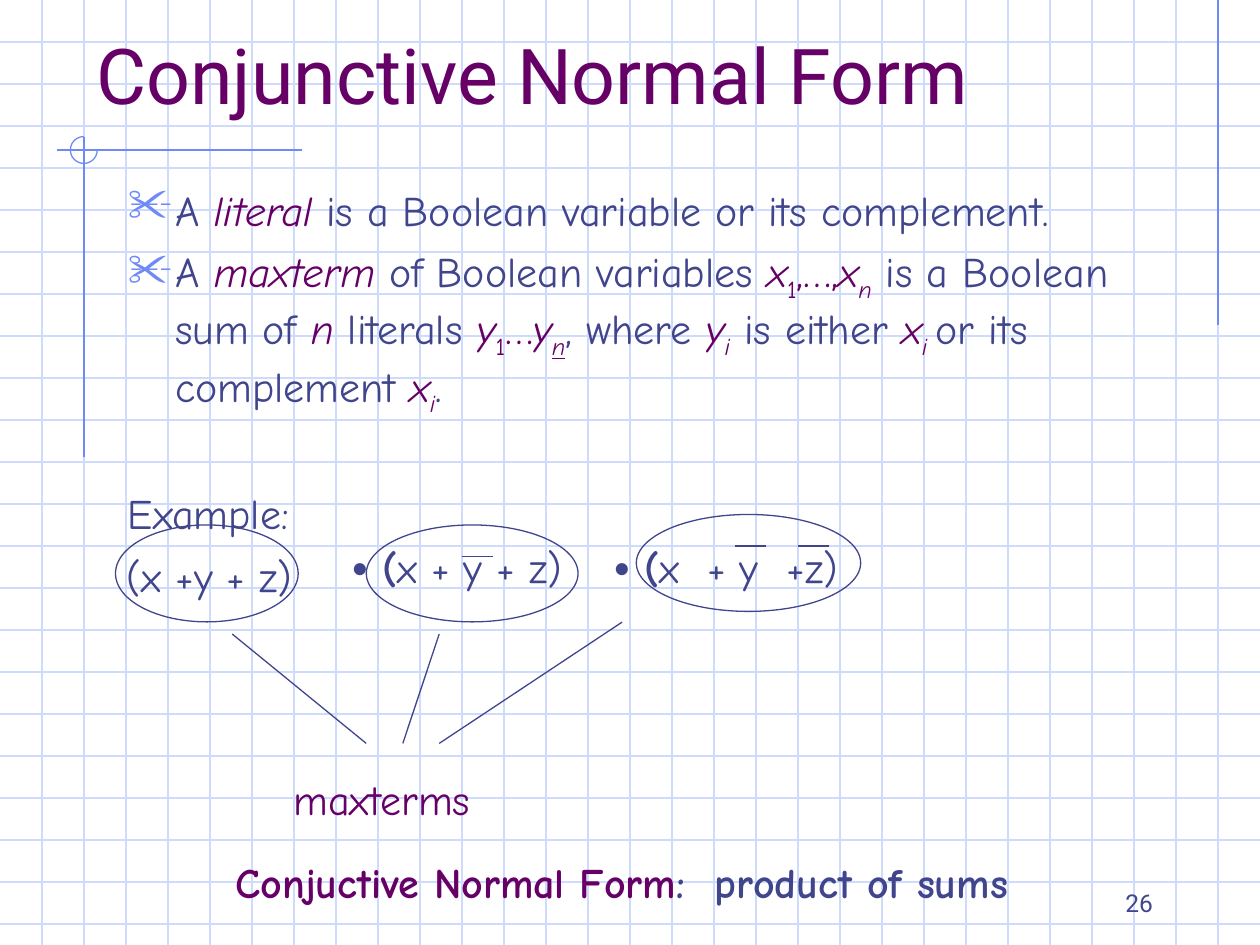
from lxml.etree import SubElement
from pptx import Presentation
from pptx.dml.color import RGBColor
from pptx.enum.shapes import MSO_CONNECTOR, MSO_SHAPE
from pptx.enum.text import MSO_ANCHOR, PP_ALIGN
from pptx.oxml.ns import qn
from pptx.util import Pt

WIDTH, HEIGHT, GRID_STEP = 720, 540, 24
GRID_BLUE, ACCENT_BLUE = "CFDBFD", "6F89F7"
INK, PURPLE = "40458C", "660066"
TITLE_FONT, BODY_FONT, DOT_FONT = "Roboto", "Comic Neue", "Arial"


def color(hex_string):
    return RGBColor.from_string(hex_string)


class SlideBuilder:
    def __init__(self, slide):
        self.slide = slide
        self.line_width = 0.75
        self.text_size = 24

    def line(self, x1, y1, x2, y2, line_color=INK):
        connector = self.slide.shapes.add_connector(
            MSO_CONNECTOR.STRAIGHT, Pt(x1), Pt(y1), Pt(x2), Pt(y2))
        connector.line.color.rgb = color(line_color)
        connector.line.width = Pt(self.line_width)
        SubElement(connector._element.spPr, qn("a:effectLst"))

    def outline(self, kind, left, top, width, height, line_color=INK):
        shape = self.slide.shapes.add_shape(
            kind, Pt(left), Pt(top), Pt(width), Pt(height))
        shape.shadow.inherit = False
        shape.fill.background()
        shape.line.color.rgb = color(line_color)
        shape.line.width = Pt(self.line_width)
        return shape

    def text_box(self, left, top, width, height, wrap=True, anchor=MSO_ANCHOR.TOP):
        box = self.slide.shapes.add_textbox(Pt(left), Pt(top), Pt(width), Pt(height))
        frame = box.text_frame
        frame.word_wrap = wrap
        frame.vertical_anchor = anchor
        return frame

    def runs(self, paragraph, pieces, font=BODY_FONT, size=None):
        """Add (text, flags) pieces; flags: p purple, i italic, b bold,
        u underline, s subscript, d dot font."""
        for text, flags in pieces:
            run = paragraph.add_run()
            run.text = text
            run.font.name = DOT_FONT if "d" in flags else font
            run.font.size = Pt(size or self.text_size)
            run.font.color.rgb = color(PURPLE if "p" in flags else INK)
            run.font.bold = "b" in flags
            run.font.italic = "i" in flags
            run.font.underline = "u" in flags
            if "s" in flags:
                run.font._element.set("baseline", "-25000")

    def scissors_bullet(self, paragraph):
        properties = paragraph._p.get_or_add_pPr()
        properties.set("marL", str(Pt(27)))
        properties.set("indent", str(-Pt(27)))
        bullet_color = SubElement(properties, qn("a:buClr"))
        SubElement(bullet_color, qn("a:srgbClr"), val=ACCENT_BLUE)
        SubElement(properties, qn("a:buSzPct"), val="110000")
        SubElement(properties, qn("a:buChar"), char="✂")


def draw_background(builder):
    for y in range(GRID_STEP, HEIGHT, GRID_STEP):
        builder.line(0, y, WIDTH, y, GRID_BLUE)
    for x in range(GRID_STEP, WIDTH, GRID_STEP):
        builder.line(x, 0, x, HEIGHT, GRID_BLUE)
    builder.line(696, 0, 696, 186, ACCENT_BLUE)
    builder.line(172.8, 85.7, 32.4, 85.7, ACCENT_BLUE)
    builder.line(48, 78.5, 48, 261.4, ACCENT_BLUE)
    arc = builder.outline(MSO_SHAPE.ARC, 40.2, 78, 15.4, 15.4, ACCENT_BLUE)
    arc.adjustments[0] = 0
    arc.adjustments[1] = 162  # 270 degrees


def draw_definitions(builder):
    frame = builder.text_box(66, 102, 612, 390)
    literal = [("A ", ""), ("literal", "pi"),
               (" is a Boolean variable or its complement.", "")]
    maxterm = [
        ("A ", ""), ("maxterm", "pi"), (" of Boolean variables ", ""),
        ("x", "pi"), ("1", "ps"), (",…,", "p"), ("x", "pi"), ("n", "pis"),
        (" is a Boolean sum of ", ""), ("n", "pi"), (" literals ", ""),
        ("y", "pi"), ("1", "ps"), ("…", "p"), ("y", "pi"), ("n", "pisu"),
        (", where ", ""), ("y", "pi"), ("i", "pis"), (" is either ", ""),
        ("x", "pi"), ("i ", "pis"), ("or its complement ", ""),
        ("x", "pi"), ("i", "pis"), (".", "")]
    paragraph = frame.paragraphs[0]
    builder.scissors_bullet(paragraph)
    builder.runs(paragraph, literal)

    paragraph = frame.add_paragraph()
    paragraph.space_before = Pt(6)
    builder.scissors_bullet(paragraph)
    builder.runs(paragraph, maxterm)

    paragraph = frame.add_paragraph()
    paragraph.space_before = Pt(40)
    builder.runs(paragraph, [("Example:", "")])


def draw_example(builder):
    for left, top, width in [(66, 300, 104.4), (209.3, 300, 121), (363.6, 294, 128.2)]:
        builder.outline(MSO_SHAPE.OVAL, left, top, width, 55.4)
    for x1, y1, x2 in [(132.7, 362.3, 209.3), (251, 362.3, 230.2), (355.5, 355.5, 251)]:
        builder.line(x1, y1, x2, 424.8)

    dot = [("•", "bd"), (" (", "b")]
    labels = [
        (160.6, 438.5, 201.6, [("maxterms", "p")]),
        (65.5, 311, 144, [("(x +y + z)", "")]),
        (194.4, 306, 149.8, dot + [("x + y + z)", "")]),
        (344.2, 306, 180, dot + [("x  + y  +z)", "")])]
    for left, top, width, pieces in labels:
        frame = builder.text_box(left, top, width, 36)
        builder.runs(frame.paragraphs[0], pieces)

    for x, y in [(264, 318.2), (420, 312), (456, 312)]:
        builder.line(x, y, x + 18, y)


def main():
    presentation = Presentation()
    presentation.slide_width, presentation.slide_height = Pt(WIDTH), Pt(HEIGHT)
    slide = presentation.slides.add_slide(presentation.slide_layouts[6])
    builder = SlideBuilder(slide)
    draw_background(builder)

    number = builder.text_box(516, 510, 150, 18, anchor=MSO_ANCHOR.BOTTOM)
    number.paragraphs[0].alignment = PP_ALIGN.RIGHT
    builder.runs(number.paragraphs[0], [("26", "")], TITLE_FONT, 14)

    title = builder.text_box(48, 24, 648, 48, anchor=MSO_ANCHOR.BOTTOM)
    builder.runs(title.paragraphs[0], [("Conjunctive Normal Form", "p")], TITLE_FONT, 44)

    draw_definitions(builder)
    draw_example(builder)

    summary = builder.text_box(127.4, 486, 456.5, 36, wrap=False)
    builder.runs(summary.paragraphs[0], [
        ("Conjuctive Normal Form", "pb"), (":  product of sums", "b")])
    presentation.save("out.pptx")


if __name__ == "__main__":
    main()
